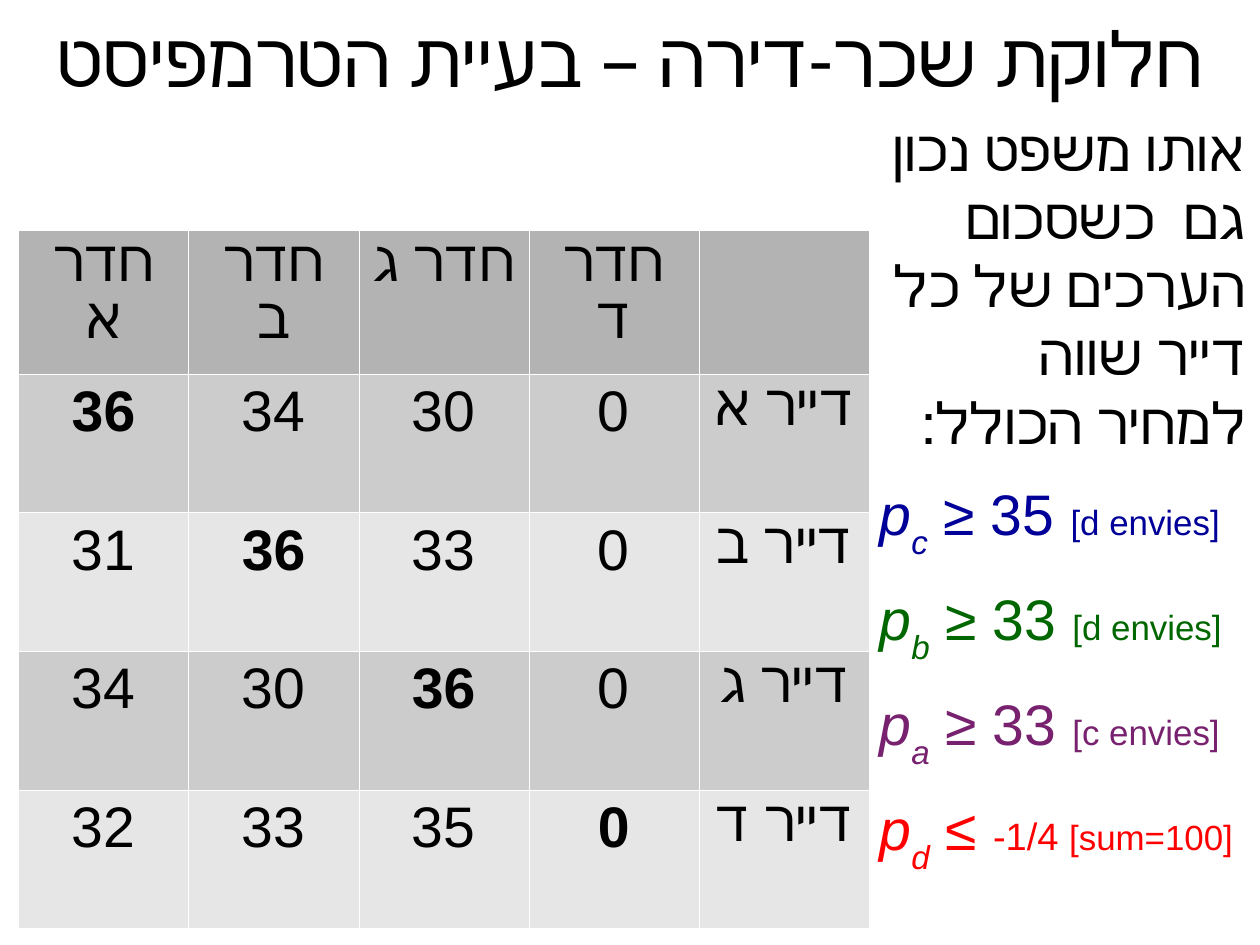
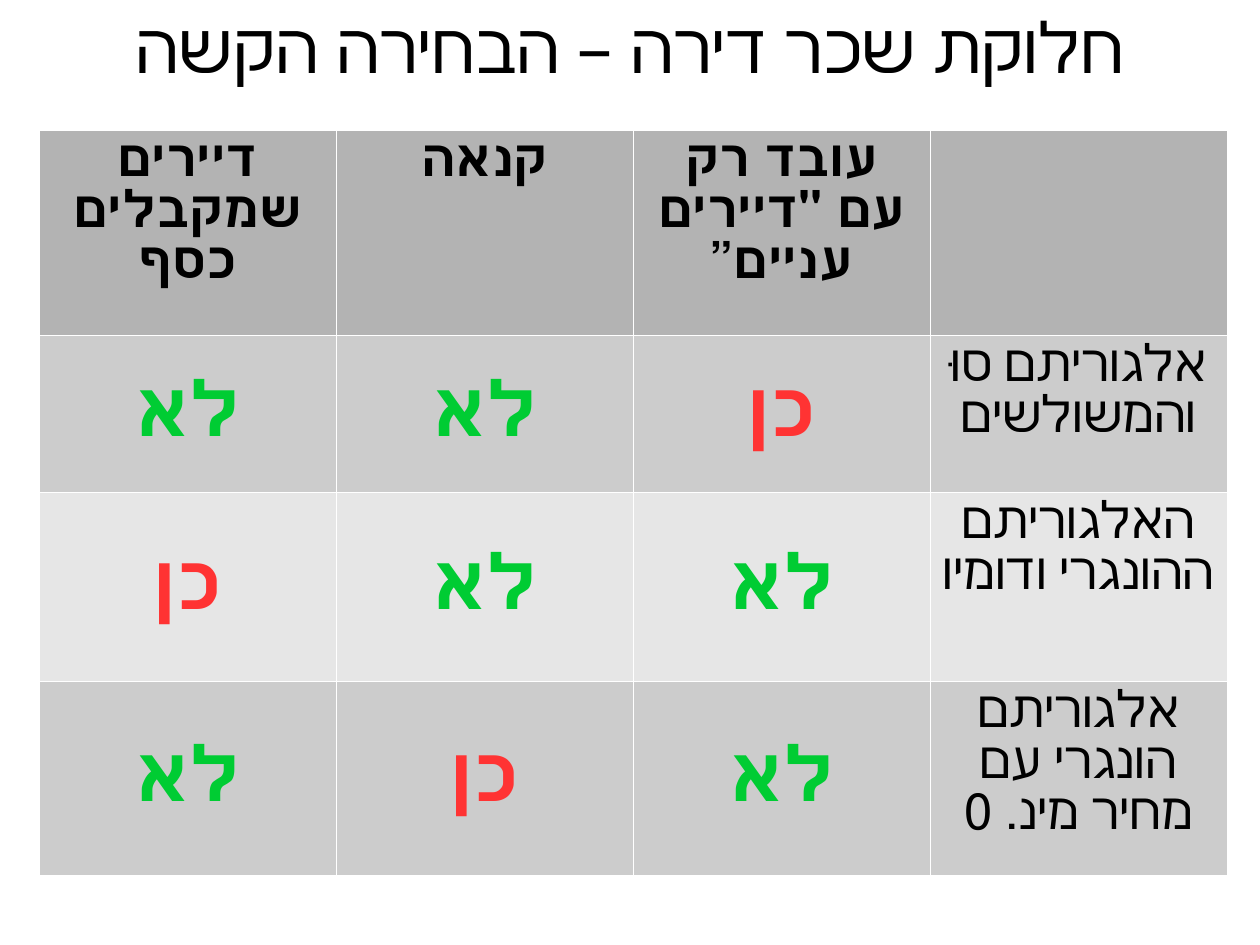
"""Builds two Hebrew slides on dividing the rent of a shared flat."""

from dataclasses import dataclass
from typing import Any, Callable

from lxml import etree
from pptx import Presentation
from pptx.dml.color import RGBColor
from pptx.enum.text import MSO_ANCHOR, MSO_AUTO_SIZE, PP_ALIGN
from pptx.oxml.ns import qn
from pptx.util import Cm, Pt

CENTER, LEFT, RIGHT = PP_ALIGN.CENTER, PP_ALIGN.LEFT, PP_ALIGN.RIGHT
TOP, MIDDLE = MSO_ANCHOR.TOP, MSO_ANCHOR.MIDDLE
NO_AUTO_SIZE = MSO_AUTO_SIZE.NONE
TITLE_ONLY = 5


@dataclass(frozen=True)
class Theme:
    """Colours, font and type sizes that the slides share."""

    font: str = "Arial"
    text: str = "000000"
    header: str = "B3B3B3"
    bands: tuple[str, str] = ("CCCCCC", "E6E6E6")
    border: str = "FFFFFF"
    border_width: float = 0.06
    blue: str = "000099"
    green: str = "006600"
    purple: str = "77216F"
    red: str = "FF0000"
    good: str = "00CC33"
    bad: str = "FF3333"
    body: float = 36
    criteria: float = 32
    verdict: float = 48
    fraction: float = 24
    remark: float = 22
    body_line: float = 43
    paragraph_gap: float = 14.2


THEME = Theme()


@dataclass(frozen=True)
class Style:
    """Look of one stretch of text."""

    size: float
    color: str = THEME.text
    bold: bool = False
    italic: bool = False
    baseline: int = 0


@dataclass(frozen=True)
class CellStyle:
    """Text look and vertical place of a table cell."""

    text: Style
    anchor: Any = TOP


@dataclass(frozen=True)
class Price:
    """One bound on the price of a room."""

    room: str
    bound: str
    remark: str
    color: str
    fraction: str = ""


@dataclass(frozen=True)
class Grid:
    """A table: place, column width and row heights in cm, and its texts."""

    left: float
    top: float
    column_width: float
    row_heights: tuple[float, ...]
    rows: tuple[tuple[str, ...], ...]
    style: Callable[[int, int, str], CellStyle]


def apply_format(target: Any, values: dict[str, Any]) -> None:
    """Set every named attribute on the target."""
    for name, value in values.items():
        setattr(target, name, value)


def add_run(paragraph: Any, text: str, style: Style) -> None:
    """Append a formatted run to a paragraph."""
    run = paragraph.add_run()
    run.text = text
    apply_format(run.font, {
        "name": THEME.font, "size": Pt(style.size),
        "bold": style.bold, "italic": style.italic,
    })
    run.font.color.rgb = RGBColor.from_string(style.color)
    if style.baseline:
        run._r.get_or_add_rPr().set("baseline", str(style.baseline * 1000))


def format_paragraph(paragraph: Any, values: dict[str, Any], hebrew: bool) -> None:
    """Set paragraph values and the reading direction."""
    apply_format(paragraph, values)
    paragraph._p.get_or_add_pPr().set("rtl", str(int(hebrew)))


def format_frame(frame: Any, anchor: Any) -> None:
    """Give a text frame no margins and a fixed size."""
    margins = dict.fromkeys(
        ("margin_left", "margin_top", "margin_right", "margin_bottom"), Cm(0))
    apply_format(frame, {
        **margins, "word_wrap": True, "auto_size": NO_AUTO_SIZE,
        "vertical_anchor": anchor,
    })


def add_titled_slide(presentation: Any, title: str, size: float, top: float) -> Any:
    """Add a slide with a centred Hebrew title across its width."""
    slide = presentation.slides.add_slide(presentation.slide_layouts[TITLE_ONLY])
    shape = slide.shapes.title
    apply_format(shape, {
        "left": Cm(0), "top": Cm(top),
        "width": presentation.slide_width, "height": Cm(2.54),
    })
    format_frame(shape.text_frame, MIDDLE)
    paragraph = shape.text_frame.paragraphs[0]
    format_paragraph(paragraph, {"alignment": CENTER}, True)
    add_run(paragraph, title, Style(size))
    return slide


def add_borders(cell: Any) -> None:
    """Draw a hairline on all four sides of a cell."""
    properties = cell._tc.get_or_add_tcPr()
    for index, side in enumerate(("a:lnL", "a:lnR", "a:lnT", "a:lnB")):
        line = etree.Element(qn(side), w=str(int(Pt(THEME.border_width))))
        fill = etree.SubElement(line, qn("a:solidFill"))
        etree.SubElement(fill, qn("a:srgbClr"), val=THEME.border)
        properties.insert(index, line)


def fill_cell(cell: Any, text: str, style: CellStyle, color: str) -> None:
    """Write and colour one table cell."""
    cell.fill.solid()
    cell.fill.fore_color.rgb = RGBColor.from_string(color)
    cell.vertical_anchor = style.anchor
    add_borders(cell)
    if not text:
        return
    paragraph = cell.text_frame.paragraphs[0]
    hebrew = not text.isdigit()
    values: dict[str, Any] = {"alignment": CENTER}
    if hebrew:
        values["line_spacing"] = Pt(style.text.size)
    format_paragraph(paragraph, values, hebrew)
    add_run(paragraph, text, style.text)


def add_grid(slide: Any, grid: Grid) -> None:
    """Draw a table with a header row and alternating bands."""
    columns = len(grid.rows[0])
    table = slide.shapes.add_table(
        len(grid.rows), columns, Cm(grid.left), Cm(grid.top),
        Cm(grid.column_width * columns), Cm(sum(grid.row_heights))).table
    apply_format(table, {"first_row": False, "horz_banding": False})
    for column in table.columns:
        column.width = Cm(grid.column_width)
    for row_index, texts in enumerate(grid.rows):
        table.rows[row_index].height = Cm(grid.row_heights[row_index])
        color = THEME.bands[(row_index - 1) % 2] if row_index else THEME.header
        for column_index, text in enumerate(texts):
            fill_cell(table.cell(row_index, column_index), text,
                      grid.style(row_index, column_index, text), color)


def value_style(row: int, column: int, text: str) -> CellStyle:
    """Bold the room that each tenant gets, on the diagonal."""
    return CellStyle(Style(THEME.body, bold=row == column + 1))


def verdict_style(row: int, column: int, text: str) -> CellStyle:
    """Colour the verdicts and bold the headings."""
    verdicts = {"לא": THEME.good, "כן": THEME.bad}
    if text in verdicts:
        return CellStyle(Style(THEME.verdict, verdicts[text], bold=True), MIDDLE)
    return CellStyle(Style(THEME.criteria, bold=row == 0))


def add_price(paragraph: Any, price: Price) -> None:
    """Write a price bound as a formula with a subscript."""
    format_paragraph(paragraph, {
        "alignment": LEFT, "space_before": Pt(THEME.paragraph_gap)}, False)
    color = price.color
    add_run(paragraph, "p", Style(THEME.body, color, italic=True))
    add_run(paragraph, price.room, Style(THEME.body, color, italic=True, baseline=-33))
    add_run(paragraph, f" {price.bound} ", Style(THEME.body, color))
    if price.fraction:
        add_run(paragraph, f"{price.fraction} ", Style(THEME.fraction, color))
    add_run(paragraph, price.remark, Style(THEME.remark, color))


def add_price_list(slide: Any, statement: str, prices: tuple[Price, ...]) -> None:
    """Write the statement and the price bounds beside the table."""
    frame = slide.shapes.add_textbox(
        Cm(19.55), Cm(2.54), Cm(8.13), Cm(17.53)).text_frame
    format_frame(frame, TOP)
    paragraph = frame.paragraphs[0]
    format_paragraph(paragraph, {
        "alignment": RIGHT, "line_spacing": Pt(THEME.body_line)}, True)
    add_run(paragraph, statement, Style(THEME.body))
    for price in prices:
        add_price(frame.add_paragraph(), price)


ROOM_VALUES = Grid(0.41, 5.11, 3.78, (3.2, 3.08, 3.08, 3.08, 3.08), (
    ("חדר א", "חדר ב", "חדר ג", "חדר ד", ""),
    ("36", "34", "30", "0", "דייר א"),
    ("31", "36", "33", "0", "דייר ב"),
    ("34", "30", "36", "0", "דייר ג"),
    ("32", "33", "35", "0", "דייר ד"),
), value_style)

ALGORITHMS = Grid(0.87, 2.9, 6.6, (4.54, 3.5, 4.2, 4.31), (
    ("דיירים שמקבלים כסף", "קנאה", "עובד רק עם \"דיירים עניים”", ""),
    ("לא", "לא", "כן", "אלגוריתם סוּ והמשולשים"),
    ("כן", "לא", "לא", "האלגוריתם ההונגרי ודומיו"),
    ("לא", "כן", "לא", "אלגוריתם הונגרי עם מחיר מינ. 0"),
), verdict_style)

PRICES = (
    Price("c", "≥ 35", "[d envies]", THEME.blue),
    Price("b", "≥ 33", "[d envies]", THEME.green),
    Price("a", "≥ 33", "[c envies]", THEME.purple),
    Price("d", "≤", "[sum=100]", THEME.red, "-1/4"),
)


def main() -> None:
    """Build and save the presentation."""
    presentation = Presentation()
    apply_format(presentation, {"slide_width": Cm(28), "slide_height": Cm(21)})

    slide = add_titled_slide(presentation, "חלוקת שכר-דירה – בעיית הטרמפיסט", 48, 0)
    add_price_list(
        slide, "אותו משפט נכון גם  כשסכום הערכים של כל דייר שווה למחיר הכולל:", PRICES)
    add_grid(slide, ROOM_VALUES)

    slide = add_titled_slide(presentation, "חלוקת שכר דירה – הבחירה הקשה", 44, -0.25)
    add_grid(slide, ALGORITHMS)

    presentation.save("out.pptx")


if __name__ == "__main__":
    main()
